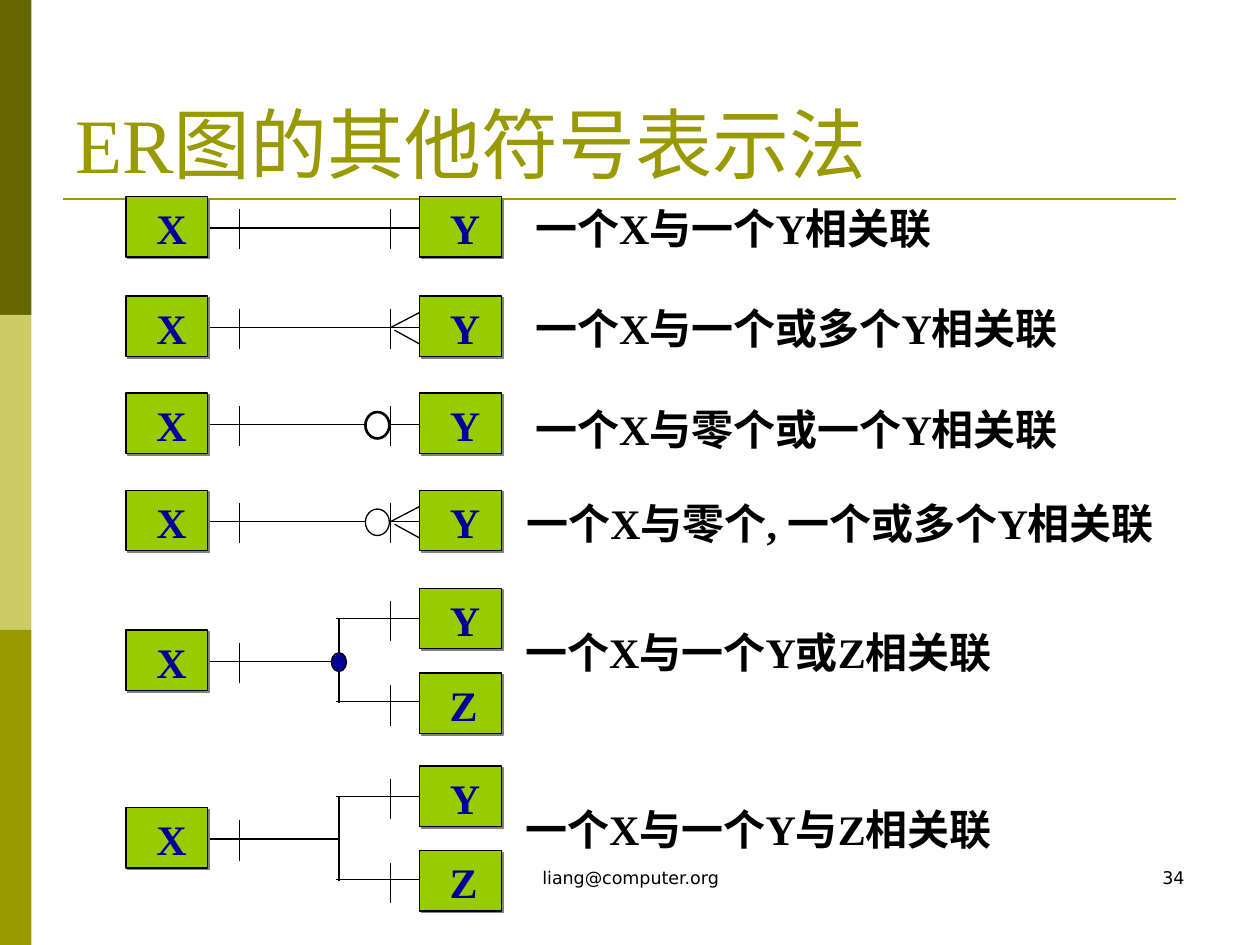
from lxml.etree import SubElement
from pptx import Presentation
from pptx.dml.color import RGBColor
from pptx.enum.shapes import MSO_CONNECTOR as Connector, MSO_SHAPE as Shape
from pptx.enum.text import MSO_ANCHOR as Anchor, MSO_AUTO_SIZE as AutoSize, PP_ALIGN as Align
from pptx.oxml.ns import qn
from pptx.util import Inches, Pt

COLORS = {
    "black": "000000", "white": "FFFFFF", "navy": "000099", "green": "99CC00",
    "olive": "999900", "dark": "666600", "light": "CCCC66", "shadow": "808080",
}
SERIF = "Times New Roman"
SANS = "DejaVu Sans"

deck = Presentation()
deck.slide_width, deck.slide_height = Inches(10), Inches(7.5)
page = deck.slides.add_slide(deck.slide_layouts[6])


def add_text(text, place, size, color, font=SERIF, bold=False,
             align=Align.LEFT, wrap=False, anchor=Anchor.TOP):
    box = page.shapes.add_textbox(*map(Inches, place))
    frame = box.text_frame
    frame.word_wrap = wrap
    frame.auto_size = AutoSize.NONE if wrap else AutoSize.SHAPE_TO_FIT_TEXT
    frame.vertical_anchor = anchor
    para = frame.paragraphs[0]
    para.alignment = align
    span = para.add_run()
    span.text = text
    span.font.size = Pt(size)
    span.font.name = font
    span.font.bold = bold
    span.font.color.rgb = RGBColor.from_string(COLORS[color])


def add_line(x1, y1, x2, y2, color="black", width=0.75):
    line = page.shapes.add_connector(
        Connector.STRAIGHT, Inches(x1), Inches(y1), Inches(x2), Inches(y2))
    line.line.color.rgb = RGBColor.from_string(COLORS[color])
    line.line.width = Pt(width)
    SubElement(line._element.spPr, qn("a:effectLst"))


for index, color in enumerate(["dark", "light", "olive"]):
    band = page.shapes.add_shape(
        Shape.RECTANGLE, 0, Inches(2.5 * index), Inches(0.25), Inches(2.5))
    band.shadow.inherit = False
    band.fill.solid()
    band.fill.fore_color.rgb = RGBColor.from_string(COLORS[color])
    band.line.fill.background()

add_line(0.5, 1.58, 9.33, 1.58, "olive", 1.5)
add_text("liang@computer.org", (3.42, 6.83, 3.17, 0.5), 10, "black", SANS,
         align=Align.CENTER, wrap=True)
add_text("34", (7.17, 6.83, 2.33, 0.5), 10, "black", SANS,
         align=Align.RIGHT, wrap=True)
add_text("ER图的其他符号表示法", (0.5, 0.3, 9, 1.25), 44, "olive",
         wrap=True, anchor=Anchor.BOTTOM)

labels = [
    ("一个X与一个Y相关联", 4.15, 1.56, 3.66),
    ("一个X与一个或多个Y相关联", 4.15, 2.35, 4.66),
    ("一个X与零个或一个Y相关联", 4.15, 3.15, 4.66),
    ("一个X与零个, 一个或多个Y相关联", 4.08, 3.9, 5.66),
    ("一个X与一个Y或Z相关联", 4.07, 4.92, 4.38),
    ("一个X与一个Y与Z相关联", 4.07, 6.33, 4.38),
]
for text, left, top, width in labels:
    add_text(text, (left, top, width, 0.5), 24, "black", bold=True)

pair_tops = [1.56, 2.35, 3.12, 3.89]
split_tops = [5, 6.41]
entities = []
for top in pair_tops:
    entities += [("X", 1, top), ("Y", 3.33, top)]
    add_line(1.65, top + 0.25, 3.33, top + 0.25)
for top in split_tops:
    entities += [("X", 1, top), ("Y", 3.33, top - 0.33), ("Z", 3.33, top + 0.34)]
    add_line(1.65, top + 0.25, 2.69, top + 0.25)
    add_line(2.69, top - 0.09, 2.69, top + 0.58)
    for level in (top - 0.09, top + 0.57):
        add_line(3.33, level, 2.67, level)

for name, left, top in entities:
    entity = page.shapes.add_shape(
        Shape.RECTANGLE, Inches(left), Inches(top), Inches(0.65), Inches(0.48))
    entity.fill.solid()
    entity.fill.fore_color.rgb = RGBColor.from_string(COLORS["green"])
    entity.line.color.rgb = RGBColor.from_string(COLORS["black"])
    entity.line.width = Pt(0.75)
    entity.shadow.inherit = False
    effects = entity._element.spPr.find(qn("a:effectLst"))
    shadow = SubElement(effects, qn("a:outerShdw"), dist=str(Pt(1.4)),
                        dir="2700000", algn="ctr", rotWithShape="0")
    SubElement(shadow, qn("a:srgbClr"), val=COLORS["shadow"])
    add_text(name, (left + 0.14, top, 0.42 if name == "Z" else 0.44, 0.5),
             24, "navy", bold=True, align=Align.RIGHT)
    tick = 1.9 if name == "X" else 3.1
    add_line(tick, top + 0.1, tick, top + 0.42)

for top in (2.35, 3.89):
    add_line(3.1, top + 0.25, 3.33, top + 0.13)
    add_line(3.13, top + 0.27, 3.33, top + 0.38)

circles = [
    (2.9, 3.27, 0.19, 0.21, "white", 1.5),
    (2.9, 4.04, 0.19, 0.21, "white", 0.75),
    (2.63, 5.18, 0.12, 0.15, "navy", 0.75),
]
for left, top, width, height, color, weight in circles:
    circle = page.shapes.add_shape(
        Shape.OVAL, Inches(left), Inches(top), Inches(width), Inches(height))
    circle.shadow.inherit = False
    circle.fill.solid()
    circle.fill.fore_color.rgb = RGBColor.from_string(COLORS[color])
    circle.line.color.rgb = RGBColor.from_string(COLORS["black"])
    circle.line.width = Pt(weight)

deck.save("out.pptx")
